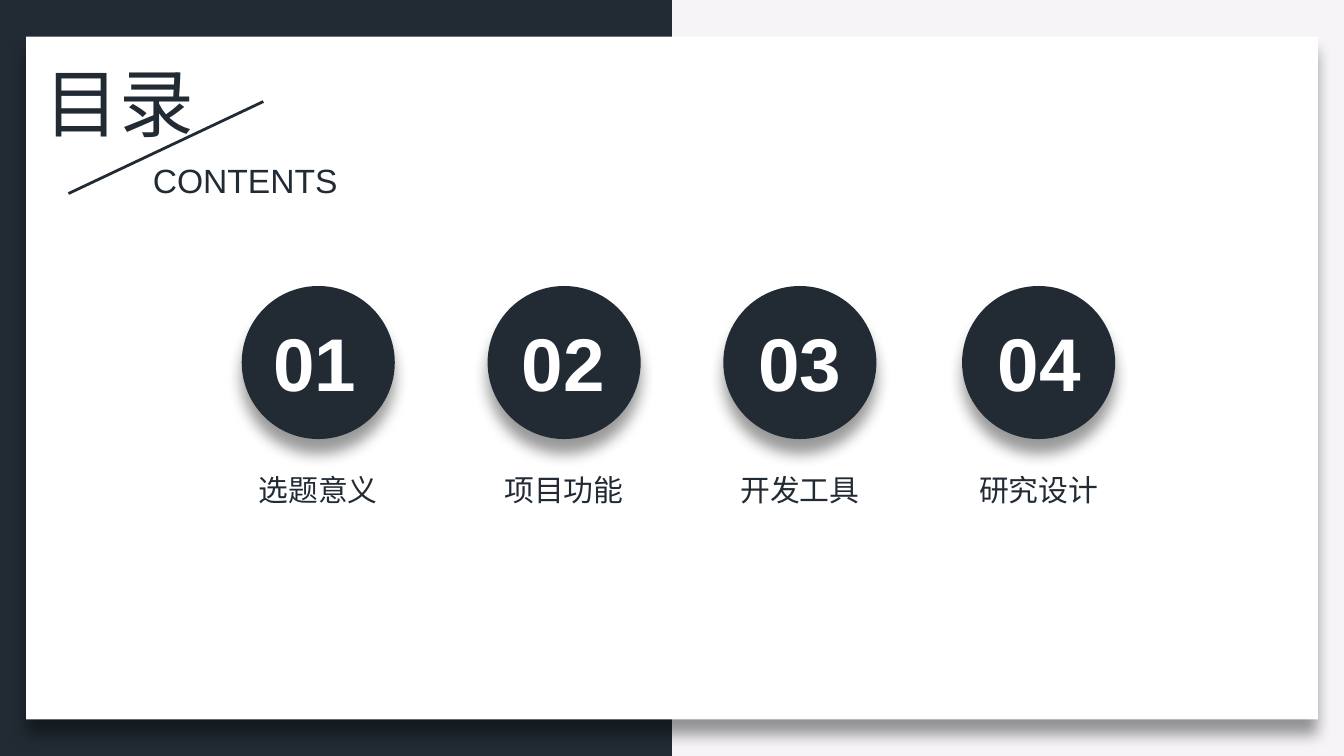
"""Build the contents slide with four numbered chapters."""
from lxml.etree import SubElement
from pptx import Presentation
from pptx.dml.color import RGBColor
from pptx.enum.shapes import MSO_CONNECTOR, MSO_SHAPE
from pptx.enum.text import MSO_ANCHOR, MSO_AUTO_SIZE, PP_ALIGN
from pptx.oxml.ns import qn
from pptx.util import Pt

NAVY = RGBColor(0x22, 0x2B, 0x34)
WHITE = RGBColor(0xFF, 0xFF, 0xFF)
PALE = RGBColor(0xF6, 0xF4, 0xF7)
CJK_FONT = "Noto Sans CJK SC"

deck = Presentation()
deck.slide_width, deck.slide_height = Pt(720), Pt(405)
slide = deck.slides.add_slide(deck.slide_layouts[5])
slide.background.fill.solid()
slide.background.fill.fore_color.rgb = PALE


def add_block(kind, left, top, width, height, color, raised=True):
    block = slide.shapes.add_shape(kind, Pt(left), Pt(top), Pt(width), Pt(height))
    block.fill.solid()
    block.fill.fore_color.rgb = color
    block.line.fill.background()
    block.shadow.inherit = False
    if raised:
        effects = block.element.spPr.find(qn("a:effectLst"))
        shadow = SubElement(effects, qn("a:outerShdw"), blurRad=str(Pt(8)),
                            dist=str(Pt(8)), dir="5400000", algn="t", rotWithShape="0")
        black = SubElement(shadow, qn("a:srgbClr"), val="000000")
        SubElement(black, qn("a:alpha"), val="40000")
    return block


def write(box, words, left, top, width, height, align, font_format):
    box.left, box.top, box.width, box.height = Pt(left), Pt(top), Pt(width), Pt(height)
    frame = box.text_frame
    frame.text = words
    frame.word_wrap = False
    frame.auto_size = MSO_AUTO_SIZE.SHAPE_TO_FIT_TEXT
    frame.vertical_anchor = MSO_ANCHOR.TOP
    paragraph = frame.paragraphs[0]
    paragraph.alignment = align
    font = paragraph.runs[0].font
    for attribute, value in font_format["font"].items():
        setattr(font, attribute, value)
    font.color.rgb = font_format["color"]
    for latin in list(box.element.iter(qn("a:latin"))):
        SubElement(latin.getparent(), qn("a:ea"), typeface=CJK_FONT)


TITLE = {"font": {"name": "Calibri", "size": Pt(40)}, "color": NAVY}
SUBTITLE = {"font": {"name": "Arial", "size": Pt(18)}, "color": NAVY}
NUMBER = {"font": {"name": "Arial", "size": Pt(40), "bold": True}, "color": WHITE}
TOPIC = {"font": {"name": CJK_FONT, "size": Pt(16)}, "color": NAVY}

add_block(MSO_SHAPE.RECTANGLE, 0, 0, 360, 405, NAVY, raised=False)
card = add_block(MSO_SHAPE.RECTANGLE, 14, 19.6, 692, 365.8, WHITE)

heading = slide.shapes.title
card.element.addnext(heading.element)
write(heading, "目录", 16.6, 26.6, 95, 55.7, PP_ALIGN.LEFT, TITLE)

slash = slide.shapes.add_connector(MSO_CONNECTOR.STRAIGHT, Pt(141.1), Pt(54.4), Pt(36.7), Pt(103.7))
slash.line.color.rgb = NAVY
slash.line.width = Pt(1.5)
SubElement(slash.element.spPr, qn("a:effectLst"))

subtitle = slide.shapes.add_textbox(0, 0, 0, 0)
write(subtitle, "CONTENTS", 74.8, 82.3, 114.5, 29, PP_ALIGN.LEFT, SUBTITLE)

DISC, NUMBER_WIDTH, TOPIC_WIDTH = 82, 60, 78.4
chapters = [
    ("选题意义", 170.5, 168.6),
    ("项目功能", 302.2, 301.8),
    ("开发工具", 428.5, 428.5),
    ("研究设计", 556.4, 556.6),
]
for order, (topic, center, number_center) in enumerate(chapters, 1):
    add_block(MSO_SHAPE.OVAL, center - DISC / 2, 153.2, DISC, DISC, NAVY)
    topic_box = slide.shapes.add_textbox(0, 0, 0, 0)
    write(topic_box, topic, center - TOPIC_WIDTH / 2, 249, TOPIC_WIDTH, 26.6,
          PP_ALIGN.CENTER, TOPIC)
    number_box = slide.shapes.add_textbox(0, 0, 0, 0)
    write(number_box, f"{order:02d}", number_center - NUMBER_WIDTH / 2, 166.3,
          NUMBER_WIDTH, 55.7, PP_ALIGN.CENTER, NUMBER)

deck.save("out.pptx")
